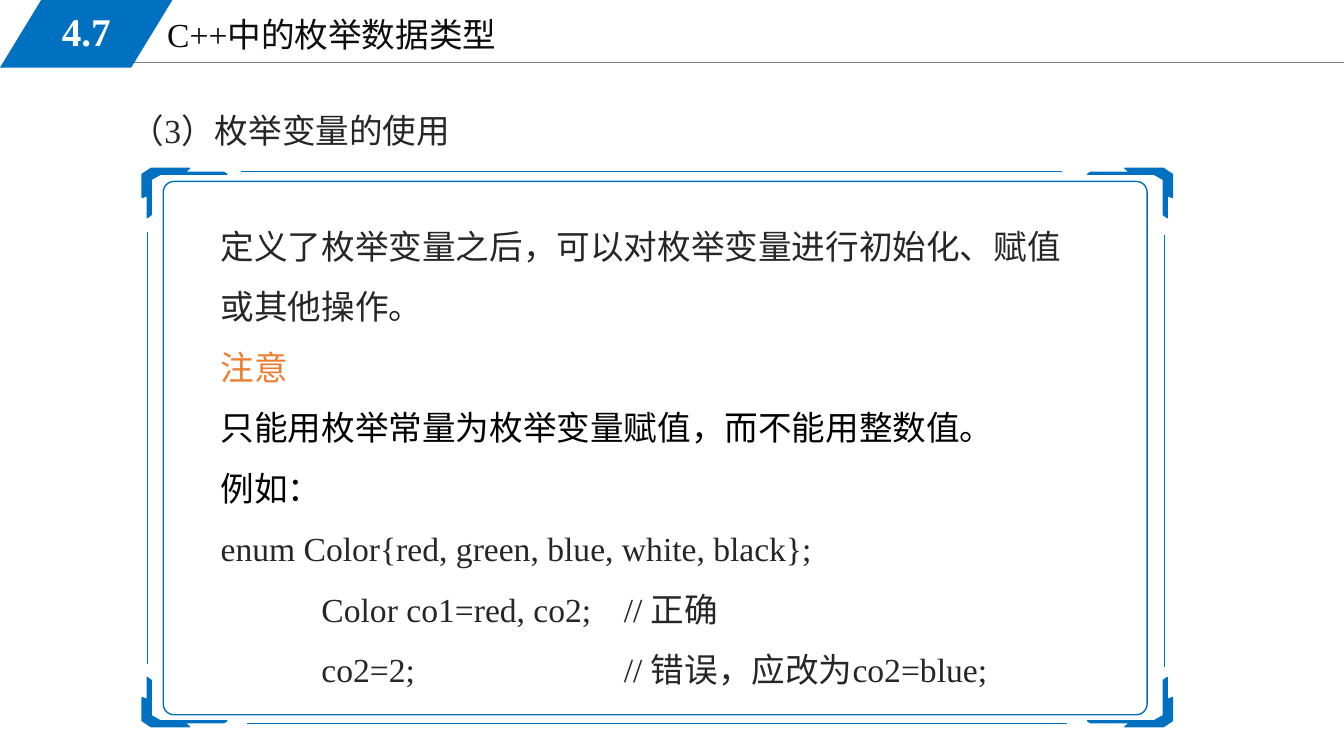
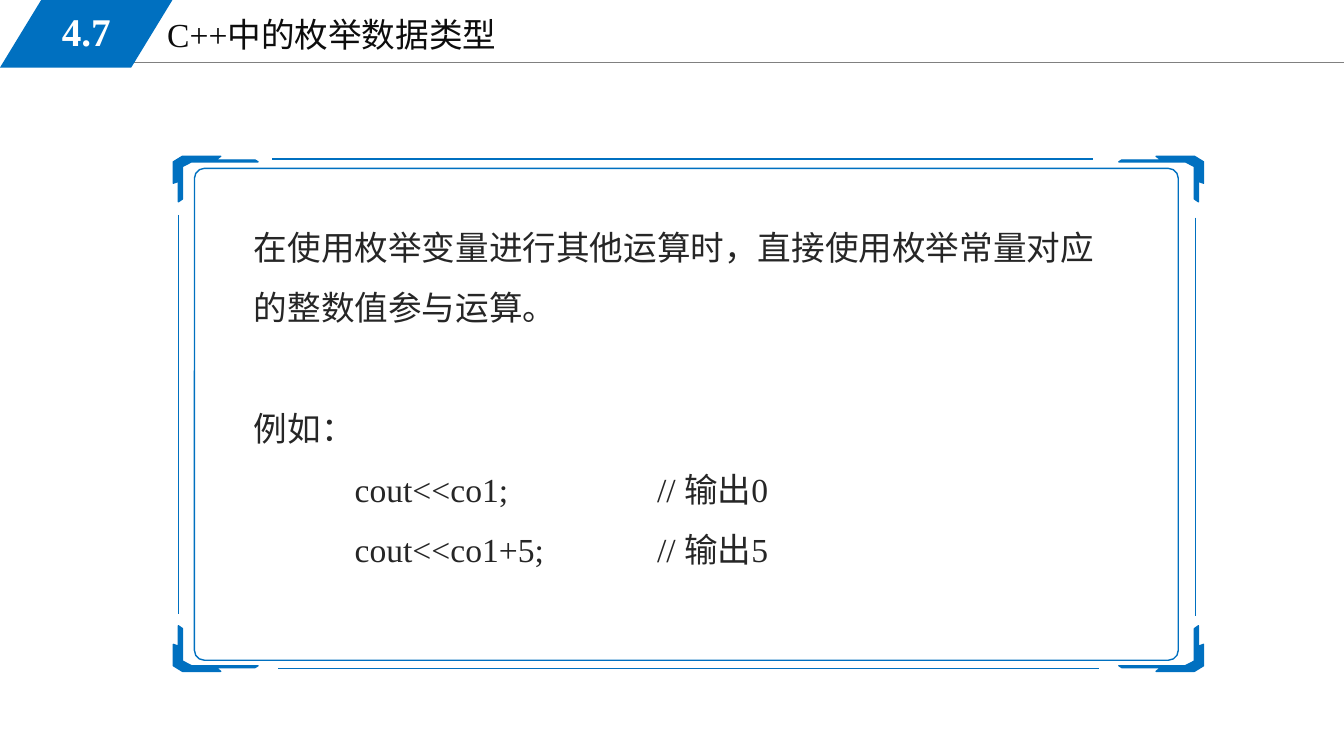
from lxml import etree
from pptx import Presentation
from pptx import util as u
from pptx.dml.color import RGBColor
from pptx.enum import shapes, text
from pptx.oxml.ns import qn

COLORS = {"blue": "0070C0", "rule": "808080", "title": "0D0D0D", "body": "262626",
          "accent": "ED7D31", "black": "000000", "white": "FFFFFF"}
FONT = "Times New Roman"

presentation = Presentation()
presentation.slide_width = u.Inches(13.333)
presentation.slide_height = u.Inches(7.5)

# Every box is left, top, width, height in percent of the slide
SLIDE_UNIT = presentation.slide_width / 100, presentation.slide_height / 100

# Frame parts, in percent of the frame: left-top corner outline and edge lines
CORNER = [(0.88, 0), (4.6, 0), (4.11, 0.72), (7.93, 0.72), (8.22, 1.08), (1.76, 1.08),
          (0.88, 1.99), (0.88, 8.3), (0.49, 8.84), (0.49, 4.87), (0, 5.23), (0, 1.08)]
EDGES = [(9.59, 0.54, 89.24, 0.54), (10.18, 99.46, 89.82, 99.46),
         (0.49, 11.37, 0.49, 88.81), (99.22, 11.91, 99.22, 89.35)]
INNER_BOX = (2.05, 2.35, 95.5, 95.49)

# Contents: each line is text, colour, space before in points
SLIDES = [
    {"heading": "（3）枚举变量的使用",
     "frame": (10.58, 22.27, 76.65, 73.87),
     "body": (15.68, 26.53, 66.08, 66),
     "lines": [
         ("定义了枚举变量之后，可以对枚举变量进行初始化、赋值或其他操作。", "body", 0),
         ("注意", "accent", 0),
         ("只能用枚举常量为枚举变量赋值，而不能用整数值。", "black", 0),
         ("例如：", "black", 0),
         ("enum Color{red, green, blue, white, black};", "body", 0),
         ("\tColor co1=red, co2;\t// 正确", "body", 0),
         ("\tco2=2;\t// 错误，应改为co2=blue;", "body", 0)]},
    {"heading": None,
     "frame": (12.9, 20.67, 76.65, 68.13),
     "body": (18.15, 26.67, 66.08, 49.87),
     "lines": [
         ("在使用枚举变量进行其他运算时，直接使用枚举常量对应的整数值参与运算。", "body", 0),
         ("例如：", "body", 43.2),
         ("\tcout<<co1;\t// 输出0", "body", 0),
         ("\tcout<<co1+5;\t// 输出5", "body", 0)]},
]
TAB_STOPS = (1, 4)


def add_text(slide, box, lines, size=24, bold=False, centred=False, spacing=1.0):
    left, top, width, height = (round(v * SLIDE_UNIT[i % 2]) for i, v in enumerate(box))
    frame = slide.shapes.add_textbox(left, top, width, height).text_frame
    frame.word_wrap = True
    if centred:
        frame.vertical_anchor = text.MSO_ANCHOR.MIDDLE
    frame.text = "\n".join(line[0] for line in lines)
    for paragraph, (content, color, before) in zip(frame.paragraphs, lines):
        paragraph.line_spacing = spacing
        if before:
            paragraph.space_before = u.Pt(before)
        if centred:
            paragraph.alignment = text.PP_ALIGN.CENTER
        if "\t" in content:
            tabs = etree.SubElement(paragraph._p.get_or_add_pPr(), qn("a:tabLst"))
            for stop in TAB_STOPS:
                etree.SubElement(tabs, qn("a:tab"), pos=str(u.Inches(stop)), algn="l")
        for run in paragraph.runs:
            run.font.name = FONT
            run.font.size = u.Pt(size)
            run.font.bold = bold
            run.font.color.rgb = RGBColor.from_string(COLORS[color])


def paint(shape, line=None, width=1, fill=None):
    if isinstance(line, str):
        shape.line.color.rgb = RGBColor.from_string(COLORS[line])
        shape.line.width = u.Pt(width)
    else:
        shape.line.fill.background()
    if shape.shape_type == shapes.MSO_SHAPE_TYPE.LINE:
        etree.SubElement(shape._element.spPr, qn("a:effectLst"))
        return
    shape.shadow.inherit = False
    if fill:
        shape.fill.solid()
        shape.fill.fore_color.rgb = RGBColor.from_string(COLORS[fill])
    else:
        shape.fill.background()


for content in SLIDES:
    slide = presentation.slides.add_slide(presentation.slide_layouts[6])
    unit_x, unit_y = SLIDE_UNIT

    # Header band
    rule_y = round(8.27 * unit_y)
    rule = slide.shapes.add_connector(shapes.MSO_CONNECTOR.STRAIGHT, round(8.48 * unit_x),
                                      rule_y, presentation.slide_width, rule_y)
    paint(rule, "rule", 0.75)
    add_text(slide, (11.7, 1.2, 42.53, 6.8), [("C++中的枚举数据类型", "title", 0)])
    badge = slide.shapes.add_shape(shapes.MSO_SHAPE.PARALLELOGRAM, 0, 0,
                                   round(12.83 * unit_x), round(8.93 * unit_y))
    badge.adjustments[0] = 0.61
    paint(badge, fill="blue")
    add_text(slide, (1.88, 0.27, 9.08, 7.73), [("4.7", "white", 0)],
             size=28, bold=True, centred=True)

    # Heading
    if content["heading"]:
        add_text(slide, (9, 13.87, 40.43, 6.67), [(content["heading"], "body", 0)])

    # Frame: inner box, mirrored corners, edge lines
    left, top, width, height = content["frame"]
    frame_x, frame_y = left * unit_x, top * unit_y
    step_x, step_y = width * unit_x / 100, height * unit_y / 100
    x, y, w, h = INNER_BOX
    inner = slide.shapes.add_shape(
        shapes.MSO_SHAPE.ROUNDED_RECTANGLE, round(frame_x + x * step_x),
        round(frame_y + y * step_y), round(w * step_x), round(h * step_y))
    inner.adjustments[0] = 0.02
    paint(inner, "blue")
    for flip_x in (False, True):
        for flip_y in (False, True):
            points = [(round(frame_x + (100 - x if flip_x else x) * step_x),
                       round(frame_y + (100 - y if flip_y else y) * step_y))
                      for x, y in CORNER]
            outline = slide.shapes.build_freeform(*points[0])
            outline.add_line_segments(points[1:], close=True)
            paint(outline.convert_to_shape(), "blue", fill="blue")
    for x1, y1, x2, y2 in EDGES:
        edge = slide.shapes.add_connector(
            shapes.MSO_CONNECTOR.STRAIGHT,
            round(frame_x + x1 * step_x), round(frame_y + y1 * step_y),
            round(frame_x + x2 * step_x), round(frame_y + y2 * step_y))
        paint(edge, "blue")

    # Body text
    add_text(slide, content["body"], content["lines"], spacing=1.5)

presentation.save("out.pptx")
